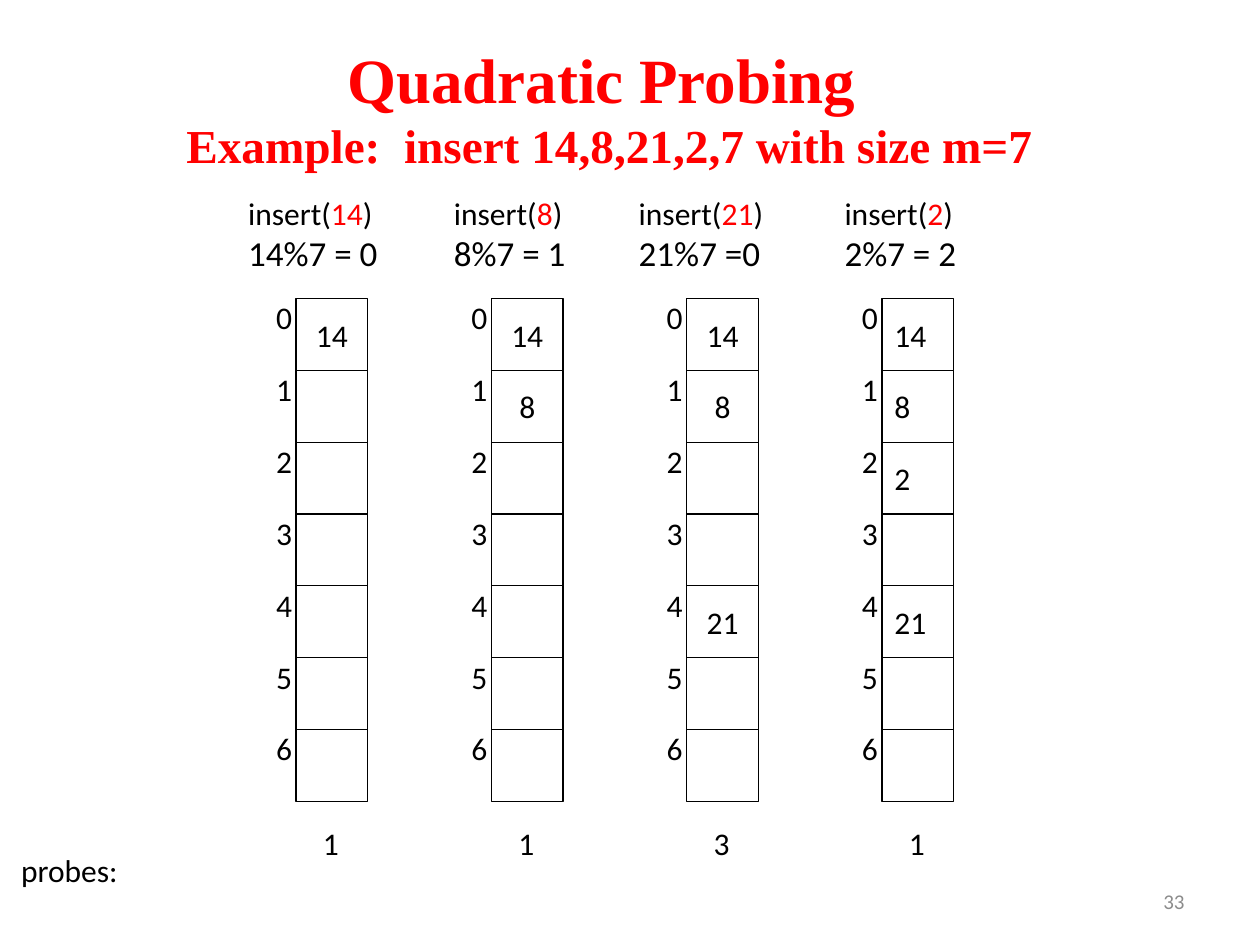
from pptx import Presentation
from pptx.dml.color import RGBColor
from pptx.enum import shapes, text
from pptx.util import Pt

BLACK, RED, GRAY = "000000", "FF0000", "8C8C8C"
CELL = 41.04
COLUMN_STEP = 111.6
TABLE_LEFT, TABLE_TOP = 169.2, 170.64
SLOTS = 7

STEPS = [
    (14, "14%7 = 0", 108, {0: 14}, 1),
    (8, "8%7 = 1", 96, {0: 14, 1: 8}, 1),
    (21, "21%7 =0", 108, {0: 14, 1: 8, 4: 21}, 3),
    (2, "2%7 = 2", 96, {0: 14, 1: 8, 2: 2, 4: 21}, 1),
]


def color(hex_value):
    return RGBColor.from_string(hex_value)


class ProbingSlide:
    body_font = "Calibri"
    title_font = "Times New Roman"
    size = 18

    def __init__(self, deck):
        self.slide = deck.slides.add_slide(deck.slide_layouts[5])

    def style(self, paragraph, size=None, fill=BLACK, align=text.PP_ALIGN.LEFT):
        paragraph.alignment = align
        paragraph.font.name = self.body_font
        paragraph.font.size = Pt(size or self.size)
        paragraph.font.color.rgb = color(fill)

    def title(self, heading, example):
        title = self.slide.shapes.title
        title.left, title.top = Pt(53.3), Pt(15.1)
        title.width, title.height = Pt(589.7), Pt(91.4)
        frame = title.text_frame
        frame.auto_size = text.MSO_AUTO_SIZE.NONE
        frame.vertical_anchor = text.MSO_ANCHOR.MIDDLE
        paragraph = frame.paragraphs[0]
        paragraph.alignment = text.PP_ALIGN.CENTER
        paragraph.font.name = self.title_font
        paragraph.font.bold = True
        paragraph.font.color.rgb = color(RED)
        first = paragraph.add_run()
        first.text, first.font.size = heading, Pt(36)
        paragraph.add_line_break()
        second = paragraph.add_run()
        second.text, second.font.size = example, Pt(27)

    def label(self, words, left, top, width, height):
        box = self.slide.shapes.add_textbox(Pt(left), Pt(top), Pt(width), Pt(height))
        frame = box.text_frame
        frame.word_wrap = False
        frame.auto_size = text.MSO_AUTO_SIZE.SHAPE_TO_FIT_TEXT
        frame.text = words
        self.style(frame.paragraphs[0])
        return frame

    def operation(self, key, hashing, left, width):
        frame = self.label("insert(", left, 107.3, width, 59.8)
        call = frame.paragraphs[0]
        argument = call.add_run()
        argument.text = str(key)
        argument.font.color.rgb = color(RED)
        call.add_run().text = ")"
        result = frame.add_paragraph()
        result.text = hashing
        self.style(result, 20)

    def slot(self, value, left, top, align):
        cell = self.slide.shapes.add_shape(
            shapes.MSO_SHAPE.RECTANGLE, Pt(left), Pt(top), Pt(CELL), Pt(CELL))
        cell.shadow.inherit = False
        cell.fill.background()
        cell.line.color.rgb = color(BLACK)
        cell.line.width = Pt(0.75)
        if value is not None:
            frame = cell.text_frame
            frame.word_wrap = False
            frame.vertical_anchor = text.MSO_ANCHOR.MIDDLE
            frame.text = str(value)
            self.style(frame.paragraphs[0], align=align)

    def hash_table(self, left, values, align):
        for index in range(SLOTS):
            top = TABLE_TOP + index * CELL
            self.slot(values.get(index), left, top, align)
            self.label(str(index), left - 18.5, top - 3.6, 23.8, 28.8)

    def page_number(self, number):
        box = self.slide.shapes.add_textbox(Pt(516), Pt(500.5), Pt(168), Pt(28.75))
        frame = box.text_frame
        frame.word_wrap = True
        frame.vertical_anchor = text.MSO_ANCHOR.MIDDLE
        frame.text = str(number)
        self.style(frame.paragraphs[0], 12, GRAY, text.PP_ALIGN.RIGHT)


def main():
    deck = Presentation()
    deck.slide_width, deck.slide_height = Pt(720), Pt(540)
    page = ProbingSlide(deck)
    page.title("Quadratic Probing ", "Example:  insert 14,8,21,2,7 with size m=7")
    page.page_number(33)
    page.label("probes:", 5, 483, 85, 36)
    for column, (key, hashing, width, values, probes) in enumerate(STEPS):
        left = TABLE_LEFT + column * COLUMN_STEP
        last = column == len(STEPS) - 1
        align = text.PP_ALIGN.LEFT if last else text.PP_ALIGN.CENTER
        page.operation(key, hashing, left + (CELL - width) / 2 - 1, width)
        page.hash_table(left, values, align)
        page.label(str(probes), left + 8.3, 467.3, 26.6, 36)
    deck.save("out.pptx")


if __name__ == "__main__":
    main()
